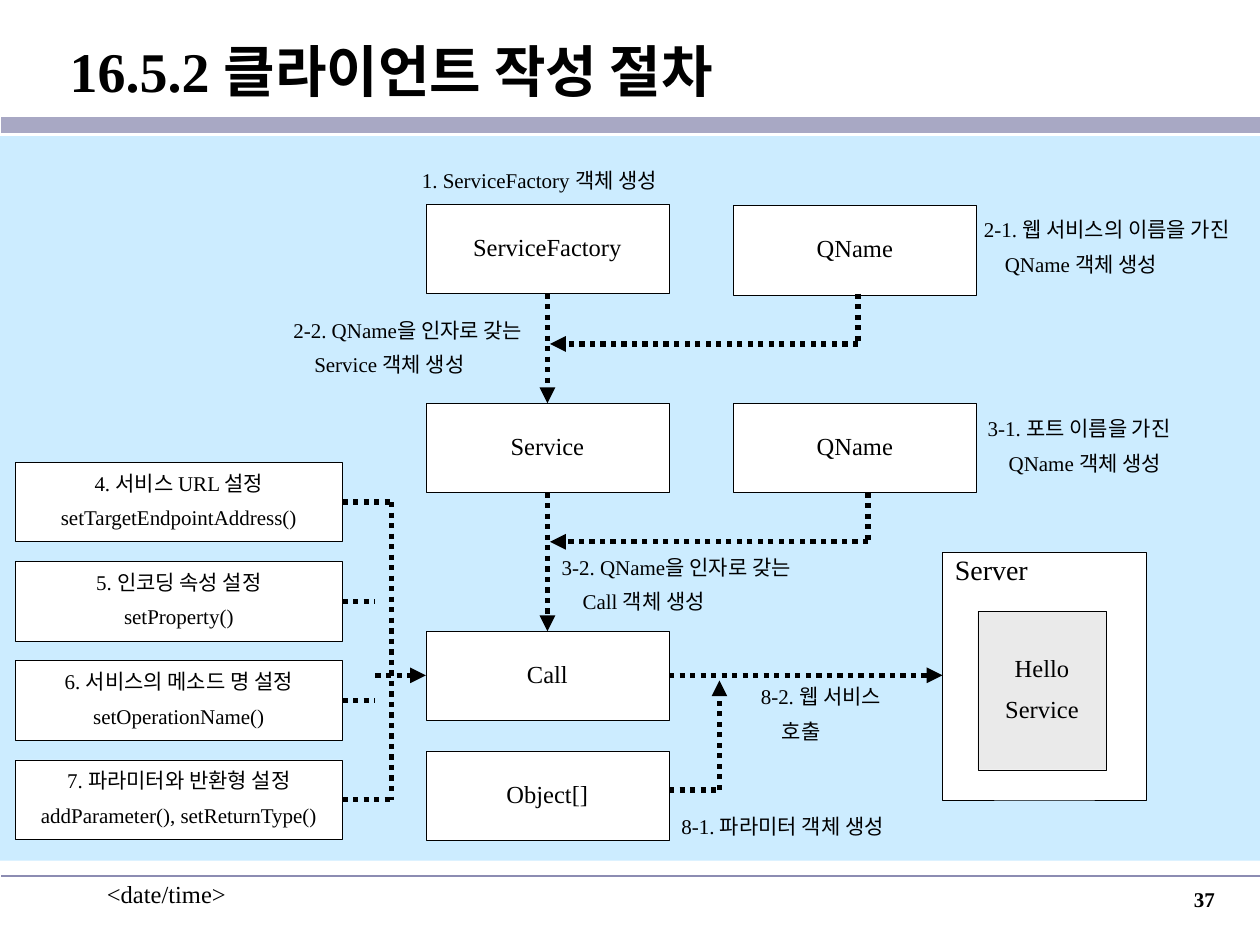
from lxml import etree
from pptx import Presentation
from pptx import util as u
from pptx.dml.color import RGBColor
from pptx.enum import dml, shapes, text
from pptx.oxml.ns import qn

COLORS = {"ink": "000000", "paper": "FFFFFF", "panel": "CCECFF", "service": "EAEAEA",
          "band": "A8A8C4", "rule": "8C8CB2"}
FONT = "Times New Roman"
LEFT, CENTER, RIGHT = text.PP_ALIGN.LEFT, text.PP_ALIGN.CENTER, text.PP_ALIGN.RIGHT
TOP, MIDDLE = text.MSO_ANCHOR.TOP, text.MSO_ANCHOR.MIDDLE

prs = Presentation()
prs.slide_width, prs.slide_height = u.Inches(10), u.Inches(7.5)
COL, ROW = prs.slide_width / 100, prs.slide_height / 75
s = prs.slides.add_slide(prs.slide_layouts[6])


def add_block(x, y, w, h, lines=(), size=12, fill=None, border=True, align=LEFT,
              anchor=TOP, bold=False, wrap=False, spacing=0.85, indent=0):
    at = [int(v) for v in (x * COL, y * ROW, w * COL, h * ROW)]
    if fill:
        sp = s.shapes.add_shape(shapes.MSO_SHAPE.RECTANGLE, *at)
        sp.shadow.inherit = False
        sp.fill.solid()
        sp.fill.fore_color.rgb = RGBColor.from_string(COLORS[fill])
        if border:
            sp.line.color.rgb = RGBColor.from_string(COLORS["ink"])
            sp.line.width = u.Pt(0.25)
        else:
            sp.line.fill.background()
    else:
        sp = s.shapes.add_textbox(*at)
    tf = sp.text_frame
    tf.word_wrap, tf.vertical_anchor = wrap, anchor
    tf.text = "\n".join(lines)
    for i, p in enumerate(tf.paragraphs):
        p.alignment, p.line_spacing = align, spacing
        if i:
            p.space_before = u.Pt(size * 0.63)
        if indent and i == len(lines) - 1:
            p._p.get_or_add_pPr().set("marL", str(u.Pt(indent)))
        for r in p.runs:
            r.font.name, r.font.size, r.font.bold = FONT, u.Pt(size), bold
            r.font.color.rgb = RGBColor.from_string(COLORS["ink"])


def add_line(x1, y1, x2, y2, arrow=False, color="ink", width=3, dotted=True):
    ln = s.shapes.add_connector(shapes.MSO_CONNECTOR.STRAIGHT, int(x1 * COL), int(y1 * ROW),
                                int(x2 * COL), int(y2 * ROW))
    ln.line.color.rgb = RGBColor.from_string(COLORS[color])
    ln.line.width = u.Pt(width)
    if dotted:
        ln.line.dash_style = dml.MSO_LINE.ROUND_DOT
    if arrow:
        etree.SubElement(ln.line._get_or_add_ln(), qn("a:tailEnd"), type="triangle")
    etree.SubElement(ln._element.spPr, qn("a:effectLst"))


add_line(0.1, 9.9, 100, 9.9, color="band", width=9.25, dotted=False)
add_line(0.1, 69.5, 100, 69.5, color="rule", width=1, dotted=False)
add_block(0, 10.8, 100, 57.5, fill="panel", border=False)
add_block(0.1, 1.1, 99.9, 9, ["16.5.2 클라이언트 작성 절차"], 32, anchor=MIDDLE, bold=True,
          wrap=True, spacing=1, indent=32)
add_block(7.5, 69.3, 20.8, 5, ["<date/time>"], 14, wrap=True, spacing=1)
add_block(76.6, 69.9, 20.8, 5, ["37"], 12, align=RIGHT, bold=True, wrap=True, spacing=1)

MAIN, SIDE, BOX_W, BOX_H = 33.8, 58.2, 19.3, 7.1
main_right, main_mid = MAIN + BOX_W, MAIN + BOX_W / 2
for x, y, name in [(MAIN, 16.2, "ServiceFactory"), (MAIN, 32, "Service"), (MAIN, 50.1, "Call"),
                   (MAIN, 59.6, "Object[]"), (SIDE, 16.3, "QName"), (SIDE, 32, "QName")]:
    add_block(x, y, BOX_W, BOX_H, [name], 14, "paper", align=CENTER, anchor=MIDDLE)

add_block(74.8, 43.8, 16.2, 19.7, ["Server"], 16, "paper")
add_block(77.6, 48.5, 10.2, 12.6, ["Hello", "Service"], 14, "service", align=CENTER, anchor=MIDDLE)

STEP_X, STEP_Y, STEP_W, STEP_H, STEP_GAP = 1.2, 36.7, 26, 6.3, 7.87
steps = [("4. 서비스 URL 설정", "setTargetEndpointAddress()"),
         ("5. 인코딩 속성 설정", "setProperty()"),
         ("6. 서비스의 메소드 명 설정", "setOperationName()"),
         ("7. 파라미터와 반환형 설정", "addParameter(), setReturnType()")]
step_right, trunk, call_y = STEP_X + STEP_W, 31.1, 53.6
step_mids = [STEP_Y + STEP_H / 2 + i * STEP_GAP for i in range(len(steps))]
for mid, lines in zip(step_mids, steps):
    add_block(STEP_X, mid - STEP_H / 2, STEP_W, STEP_H, lines, 12, "paper",
              align=CENTER, anchor=MIDDLE)
    outer = mid in (step_mids[0], step_mids[-1])
    add_line(step_right, mid, trunk if outer else 29.8, mid)
add_line(trunk, step_mids[0], trunk, step_mids[-1])
add_line(29.8, call_y, MAIN, call_y, arrow=True)

for top, bottom, x, y in [(23.3, 32, 68.1, 27.3), (39.1, 50.1, 68.9, 43)]:
    add_line(main_mid, top, main_mid, bottom, arrow=True)
    add_line(x, top, x, y)
    add_line(x, y, main_mid + 0.2, y, arrow=True)
add_line(main_right, call_y, 74.8, call_y, arrow=True)
add_line(main_right, 62.7, 57.1, 62.7)
add_line(57.1, 62.7, 57.1, 54, arrow=True)

for x, y, w, lines in [
        (32.5, 13.1, 21.6, ["1. ServiceFactory 객체 생성"]),
        (77.1, 17, 23.2, ["2-1. 웹 서비스의 이름을 가진", "QName 객체 생성"]),
        (22.3, 25, 21.4, ["2-2. QName을 인자로 갖는", "Service 객체 생성"]),
        (77.4, 32.8, 17.8, ["3-1. 포트 이름을 가진", "QName 객체 생성"]),
        (43.6, 43.8, 21.4, ["3-2. QName을 인자로 갖는", "Call 객체 생성"]),
        (53.1, 64.4, 19.4, ["8-1. 파라미터 객체 생성"]),
        (59.4, 54.1, 12.4, ["8-2. 웹 서비스", "호출"])]:
    pair = len(lines) == 2
    add_block(x, y, w, 5.5 if pair else 2.7, lines, indent=12 if pair else 0)

prs.save("out.pptx")
